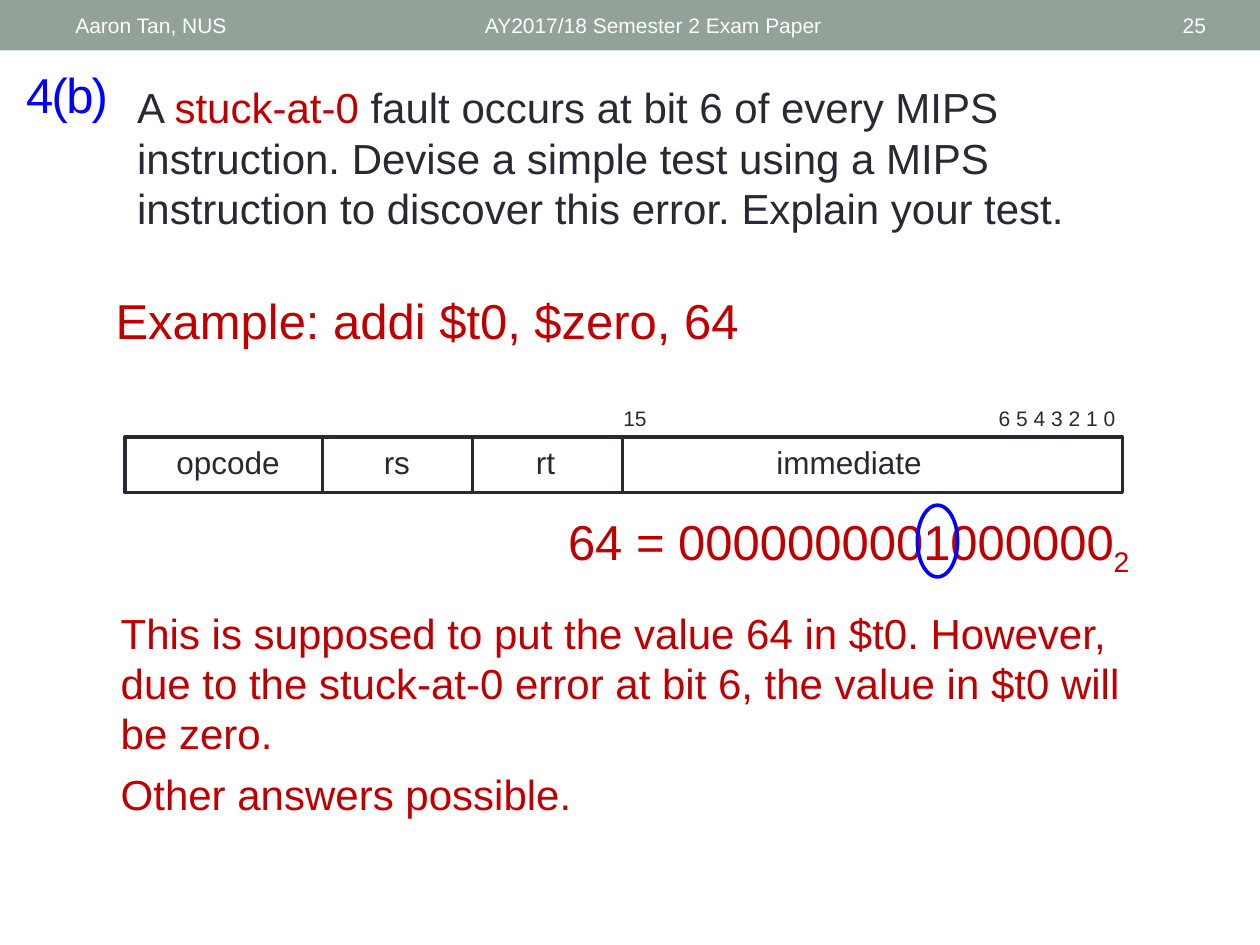
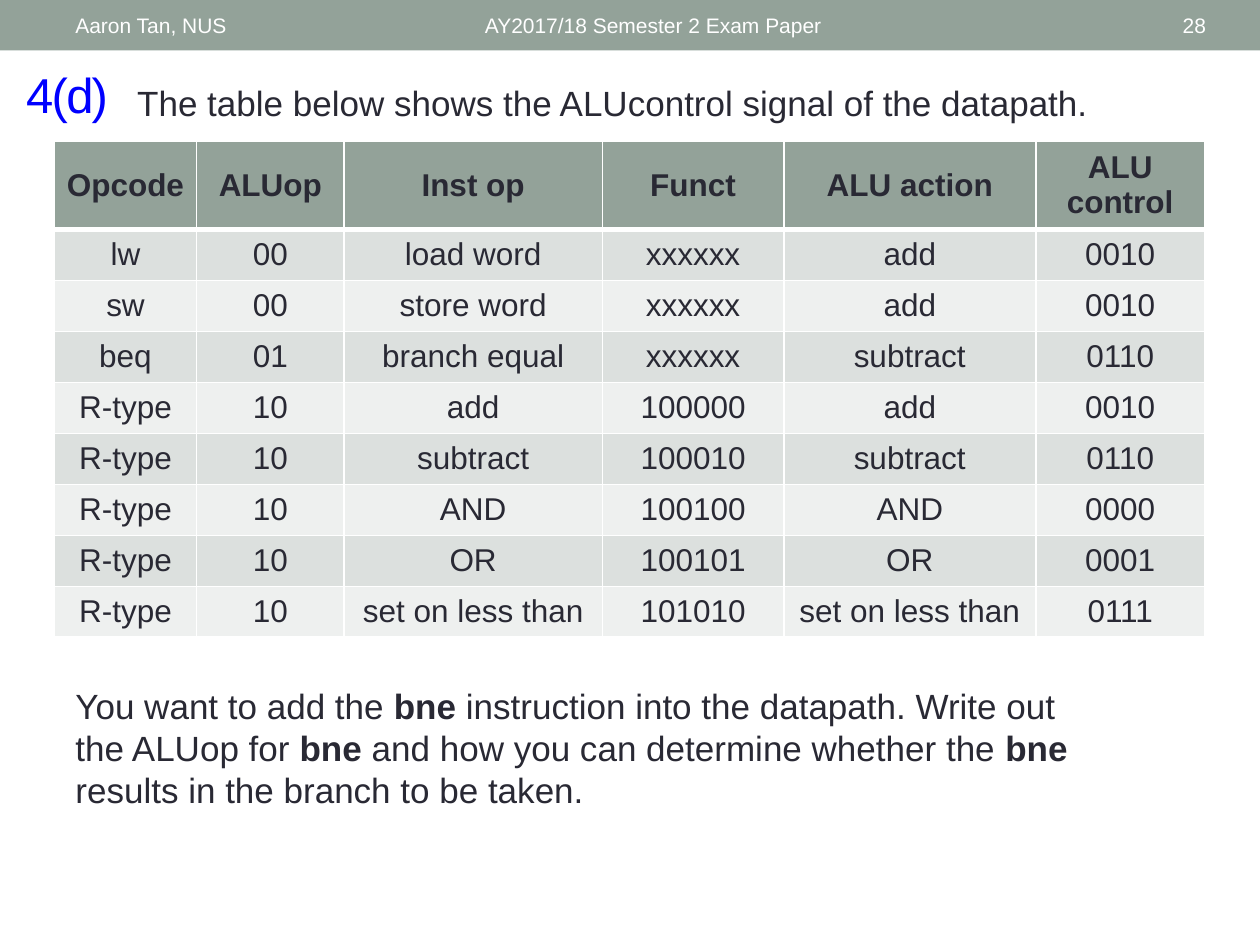
from itertools import accumulate

from lxml.etree import SubElement
from pptx import Presentation
from pptx.dml.color import RGBColor
from pptx.enum.shapes import MSO_SHAPE as Shape
from pptx.enum.text import MSO_ANCHOR as Anchor, PP_ALIGN as Align
from pptx.oxml import parse_xml
from pptx.oxml.ns import nsdecls, qn
from pptx.util import Pt

SAGE = RGBColor(0x93, 0xA2, 0x99)
ROW_DARK = RGBColor(0xDC, 0xE0, 0xDE)
ROW_LIGHT = RGBColor(0xEE, 0xF0, 0xEF)
INK = RGBColor(0x29, 0x29, 0x34)
RED = RGBColor(0xC0, 0x00, 0x00)
BLUE = RGBColor(0x00, 0x00, 0xFF)
WHITE = RGBColor(0xFF, 0xFF, 0xFF)
FONT = "Arial"
OUTLINE = 2.08

FIELD_TOP, FIELD_HEIGHT = 249.8, 31.7
FIELDS = [
    ("opcode", 113, 82.1, 96.5),
    ("rs", 85.7, 208.1, 37.4),
    ("rt", 85.7, 291.6, 40.3),
    ("immediate", 285.8, 411.8, 146.9),
]

COLUMN_WIDTHS = [81.4, 84.2, 147.6, 103.7, 144, 96.5]
HEADER_HEIGHT, ROW_HEIGHT = 50.4, 29.16
ALU_CONTROL = [
    ("Opcode", "ALUop", "Inst op", "Funct", "ALU action", "ALU control"),
    ("lw", "00", "load word", "xxxxxx", "add", "0010"),
    ("sw", "00", "store word", "xxxxxx", "add", "0010"),
    ("beq", "01", "branch equal", "xxxxxx", "subtract", "0110"),
    ("R-type", "10", "add", "100000", "add", "0010"),
    ("R-type", "10", "subtract", "100010", "subtract", "0110"),
    ("R-type", "10", "AND", "100100", "AND", "0000"),
    ("R-type", "10", "OR", "100101", "OR", "0001"),
    ("R-type", "10", "set on less than", "101010", "set on less than", "0111"),
]


def points(*lengths):
    return [Pt(length) for length in lengths]


def style_paragraph(paragraph, size, color, align=Align.LEFT, bold=False):
    paragraph.alignment = align
    font = paragraph.font
    font.name, font.size, font.bold = FONT, Pt(size), bold
    font.color.rgb = color


def add_run(paragraph, text, color=None, bold=None, **attributes):
    run = paragraph.add_run()
    run.text = text
    if color is not None:
        run.font.color.rgb = color
    if bold is not None:
        run.font.bold = bold
    properties = run._r.get_or_add_rPr()
    for name, value in attributes.items():
        properties.set(name, value)


def add_text(shapes, box, paragraphs, size, color=INK, align=Align.LEFT,
             anchor=Anchor.TOP, space_after=0):
    frame = shapes.add_textbox(*points(*box)).text_frame
    frame.word_wrap = True
    frame.vertical_anchor = anchor
    for index, runs in enumerate(paragraphs):
        paragraph = frame.add_paragraph() if index else frame.paragraphs[0]
        style_paragraph(paragraph, size, color, align)
        paragraph.space_after = Pt(space_after)
        for text, style in runs:
            add_run(paragraph, text, **style)


def add_line_of_text(shapes, box, text, size, **options):
    add_text(shapes, box, [[(text, {})]], size, **options)


def add_outline(shapes, kind, box, color):
    outline = shapes.add_shape(kind, *points(*box))
    outline.shadow.inherit = False
    outline.fill.background()
    outline.line.color.rgb = color
    outline.line.width = Pt(OUTLINE)


def add_exam_slide(deck, question, number):
    slide = deck.slides.add_slide(deck.slide_layouts[6])
    shapes = slide.shapes
    band = shapes.add_shape(Shape.RECTANGLE, *points(0, 0, 720, 28.8))
    band.shadow.inherit = False
    band.fill.solid()
    band.fill.fore_color.rgb = SAGE
    band.line.fill.background()
    add_text(shapes, (7.9, 26.6, 68.4, 54), [[(question, {"spc": "-100"})]], 28,
             color=BLUE, anchor=Anchor.MIDDLE)
    for left, width, text, align in [
        (270, 324, "AY2017/18 Semester 2 Exam Paper", Align.LEFT),
        (36, 228.2, "Aaron Tan, NUS", Align.LEFT),
        (627.8, 68.4, number, Align.RIGHT),
    ]:
        add_line_of_text(shapes, (left, 1.4, width, 25.9), text, 12, color=WHITE,
                         align=align, anchor=Anchor.MIDDLE)
    return shapes


def add_instruction_format(shapes):
    diagram = shapes.add_group_shape().shapes
    widths = [width for _, width, _, _ in FIELDS]
    lefts = accumulate(widths[:-1], initial=71.3)
    for left, (name, width, label_left, label_width) in zip(lefts, FIELDS):
        add_outline(diagram, Shape.RECTANGLE,
                    (left, FIELD_TOP, width, FIELD_HEIGHT), INK)
        add_line_of_text(diagram, (label_left, FIELD_TOP, label_width, 28.8),
                         name, 18, align=Align.CENTER)
    for left, width, bits in [(559.4, 89.3, "6 5 4 3 2 1 0"), (348.5, 28.8, "15")]:
        add_line_of_text(diagram, (left, 228.2, width, 21.6), bits, 12,
                         align=Align.CENTER)


def set_borders(cell, top, bottom):
    properties = cell._tc.get_or_add_tcPr()
    sides = [("lnL", 1), ("lnR", 1), ("lnT", top), ("lnB", bottom)]
    for position, (side, width) in enumerate(sides):
        border = parse_xml(f'<a:{side} {nsdecls("a")} w="{Pt(width)}"/>')
        fill = SubElement(border, qn("a:solidFill"))
        SubElement(fill, qn("a:srgbClr"), val=str(WHITE))
        properties.insert(position, border)


def add_alu_table(shapes):
    table_height = HEADER_HEIGHT + ROW_HEIGHT * (len(ALU_CONTROL) - 1)
    table = shapes.add_table(
        len(ALU_CONTROL), len(COLUMN_WIDTHS),
        *points(31, 80.6, sum(COLUMN_WIDTHS), table_height)).table
    table.first_row = table.horz_banding = False
    for column, width in zip(table.columns, COLUMN_WIDTHS):
        column.width = Pt(width)
    for row, signals in enumerate(ALU_CONTROL):
        header = row == 0
        table.rows[row].height = Pt(HEADER_HEIGHT if header else ROW_HEIGHT)
        shade = SAGE if header else ROW_DARK if row % 2 else ROW_LIGHT
        for column, signal in enumerate(signals):
            cell = table.cell(row, column)
            cell.vertical_anchor = Anchor.MIDDLE
            cell.margin_left = cell.margin_right = Pt(5)
            cell.fill.solid()
            cell.fill.fore_color.rgb = shade
            set_borders(cell, top=3 if row == 1 else 1, bottom=3 if header else 1)
            paragraph = cell.text_frame.paragraphs[0]
            style_paragraph(paragraph, 18, INK, Align.CENTER, header)
            add_run(paragraph, signal)


def build_stuck_at_slide(deck):
    shapes = add_exam_slide(deck, "4(b)", "25")
    add_text(shapes, (71.3, 43.2, 603.4, 94.3), [[
        ("A ", {}),
        ("stuck-at-0", {"color": RED}),
        (" fault occurs at bit 6 of every MIPS instruction. Devise a simple test "
         "using a MIPS instruction to discover this error. Explain your test.", {}),
    ]], 24)
    add_line_of_text(shapes, (59, 162.7, 603.4, 41), "Example: addi $t0, $zero, 64",
                     28, color=RED)
    add_instruction_format(shapes)
    add_text(shapes, (317.5, 288.7, 344.9, 41), [[
        ("64 = 0000000001000000", {}),
        ("2", {"baseline": "-25000"}),
    ]], 28, color=RED)
    add_outline(shapes, Shape.OVAL, (524.2, 288.7, 23, 41), BLUE)
    add_text(shapes, (61.9, 343.4, 603.4, 129.6), [
        [("This is supposed to put the value 64 in $t0. However, due to the "
          "stuck-at-0 error at bit 6, the value in $t0 will be zero.", {})],
        [("Other answers possible.", {})],
    ], 24, color=RED, space_after=6)


def build_alu_control_slide(deck):
    shapes = add_exam_slide(deck, "4(d)", "28")
    add_line_of_text(shapes, (71.3, 43.2, 603.4, 31.7),
                     "The table below shows the ALUcontrol signal of the datapath.", 20)
    add_alu_table(shapes)
    bne = ("bne", {"bold": True})
    add_text(shapes, (36, 387.4, 603.4, 79.9), [[
        ("You want to add the ", {}), bne,
        (" instruction into the datapath. Write out the ALUop for ", {}), bne,
        (" and how you can determine whether the ", {}), bne,
        (" results in the branch to be taken.", {}),
    ]], 20)


def main():
    deck = Presentation()
    deck.slide_width, deck.slide_height = points(720, 540)
    build_stuck_at_slide(deck)
    build_alu_control_slide(deck)
    deck.save("out.pptx")


main()
